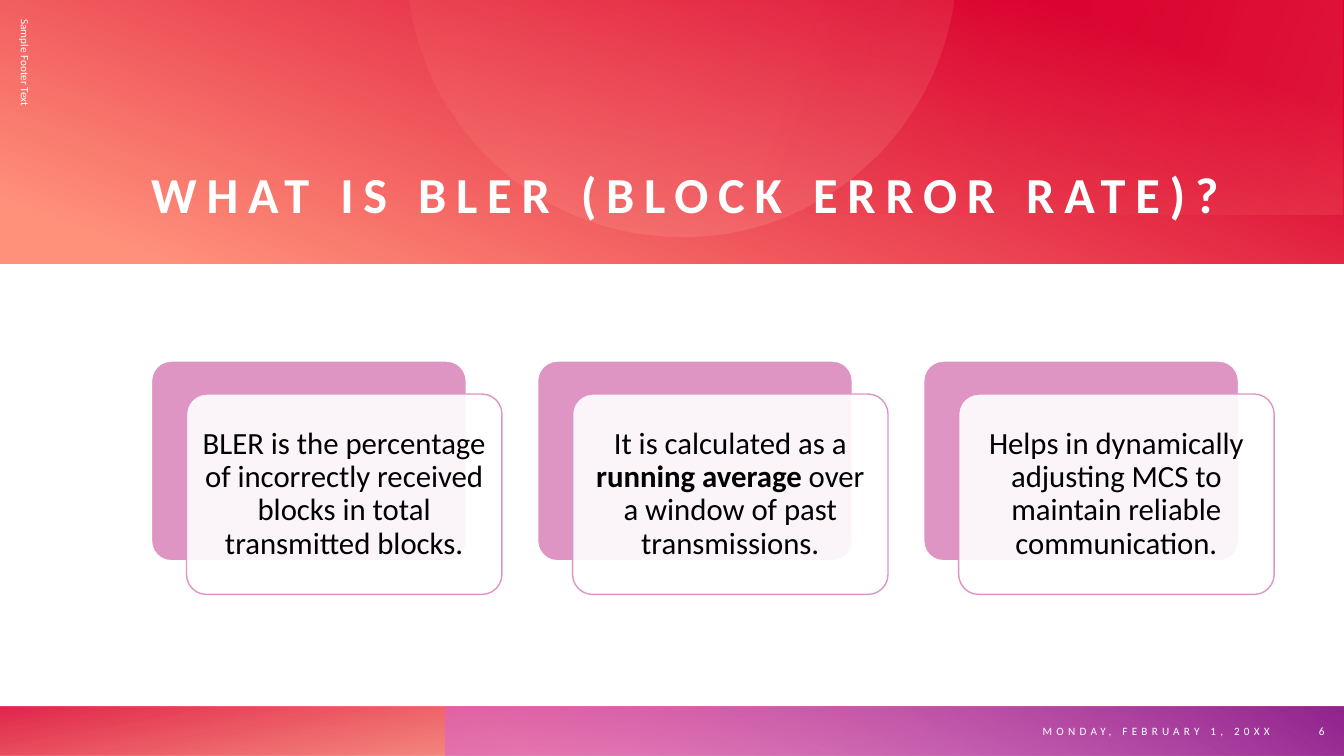
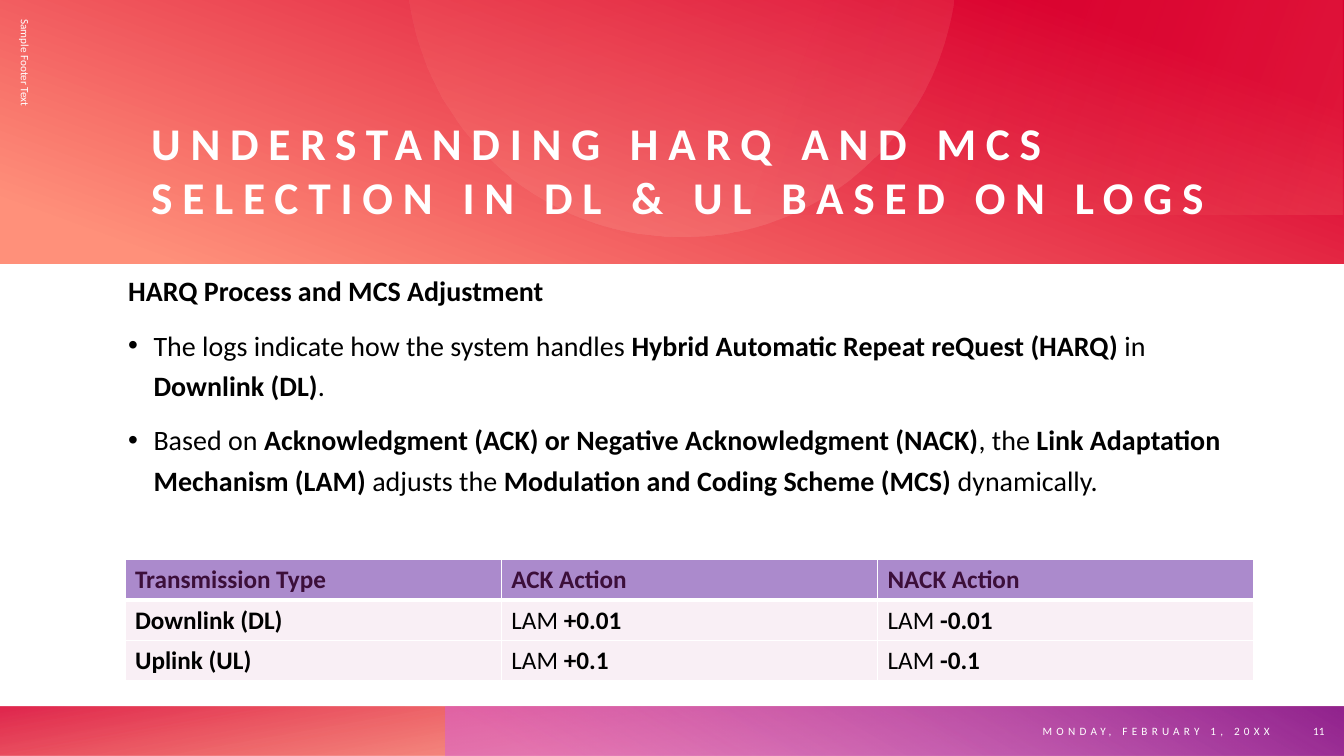
import math

from pptx import Presentation
from pptx import util as u
from pptx.dml.color import RGBColor
from pptx.enum import shapes, text
from pptx.oxml import ns
from lxml import etree

COLORS = {
    "white": "FFFFFF",
    "black": "000000",
    "red": "DA002F",
    "orange": "FE4A00",
    "salmon": "FF907A",
    "peach": "FFBCAF",
    "orchid": "D861D4",
    "purple": "92248E",
    "pink": "DE95C4",
    "lavender": "AB8ACC",
    "plum": "3C0F3A",
    "blush": "F9EFF5",
}
RECTANGLE = shapes.MSO_SHAPE.RECTANGLE
ROUNDED = shapes.MSO_SHAPE.ROUNDED_RECTANGLE
MIDDLE = text.MSO_ANCHOR.MIDDLE
BOTTOM = text.MSO_ANCHOR.BOTTOM
CENTER = text.PP_ALIGN.CENTER
RIGHT = text.PP_ALIGN.RIGHT


def rgb(name):
    return RGBColor.from_string(COLORS[name])


def lengths(*values):
    return [u.Cm(value) for value in values]


def add_child(parent, tag, **attributes):
    return etree.SubElement(parent, ns.qn(tag), attributes)


class Deck:
    font = "Calibri"

    def __init__(self):
        self.presentation = Presentation()
        self.presentation.slide_width = u.Cm(33.87)
        self.presentation.slide_height = u.Cm(19.05)
        self.slide = None

    def start_slide(self, title, title_size, number):
        self.slide = self.presentation.slides.add_slide(self.presentation.slide_layouts[6])
        self.gradient_box((0, 17.8, 33.87, 1.25), 260, (14, "orange", 28), (100, "red", 85))
        self.gradient_box((11.22, 17.8, 22.65, 1.25), 300, (9, "orchid", 55), (99, "purple", 100))
        self.gradient_box((0, 0, 33.87, 6.65), 290, (8, "salmon", 100), (86, "red", 100))
        self.circle_segment(17.18, -0.97, 6.93, 0.02)
        self.gradient_box((11.28, 0, 22.56, 5.41), 200, (0, "salmon", 16), (62, "red", 0))
        self.text_box((3.81, 2.21, 28.45, 3.43), [f"**{title}**"], title_size, "white",
                      anchor=BOTTOM, inset=0, spacing=7)
        self.small_text((21.97, 17.8, 10.29, 1.25), "MONDAY, FEBRUARY 1, 20XX", align=RIGHT, spacing=3)
        self.small_text((32.41, 17.8, 1.22, 1.25), number, align=RIGHT)
        self.small_text((-5.08, 5.31, 11.43, 1.27), "Sample Footer Text").rotation = 90

    def apply_gradient(self, shape, angle, stops):
        shape.shadow.inherit = False
        shape.line.fill.background()
        shape.fill.gradient()
        shape.fill.gradient_angle = 360 - angle
        for stop, (position, color, _) in zip(shape.fill.gradient_stops, stops):
            stop.position = position / 100
            stop.color.rgb = rgb(color)
        gradient = shape._element.spPr.find(ns.qn("a:gradFill"))
        for color, (_, _, opacity) in zip(gradient.iter(ns.qn("a:srgbClr")), stops):
            add_child(color, "a:alpha", val=str(opacity * 1000))

    def gradient_box(self, place, angle, *stops):
        shape = self.slide.shapes.add_shape(RECTANGLE, *lengths(*place))
        self.apply_gradient(shape, angle, stops)

    def circle_segment(self, center_x, center_y, radius, top):
        start = math.asin((top - center_y) / radius)
        steps = 90
        angles = [start + (math.pi - 2 * start) * step / steps for step in range(steps + 1)]
        points = [lengths(center_x + radius * math.cos(angle), center_y + radius * math.sin(angle))
                  for angle in angles]
        builder = self.slide.shapes.build_freeform(*points[0])
        builder.add_line_segments(points[1:], close=True)
        self.apply_gradient(builder.convert_to_shape(), 77, [(0, "salmon", 12), (100, "peach", 20)])

    def add_runs(self, paragraph, marked, size, color, spacing=0):
        for index, part in enumerate(marked.split("**")):
            if not part:
                continue
            run = paragraph.add_run()
            run.text = part
            run.font.name = self.font
            run.font.size = u.Pt(size)
            run.font.bold = index % 2 == 1
            run.font.color.rgb = rgb(color)
            if spacing:
                run._r.get_or_add_rPr().set("spc", str(spacing * 100))

    def fill_frame(self, frame, lines, size, color, anchor, align=None, inset=None, spacing=0):
        frame.word_wrap = True
        frame.vertical_anchor = anchor
        if inset is not None:
            frame.margin_left = frame.margin_right = u.Cm(inset)
            frame.margin_top = frame.margin_bottom = u.Cm(inset)
        for index, line in enumerate(lines):
            paragraph = frame.add_paragraph() if index else frame.paragraphs[0]
            paragraph.alignment = align
            self.add_runs(paragraph, line, size, color, spacing)

    def text_box(self, place, lines, size, color, anchor=text.MSO_ANCHOR.TOP, **style):
        shape = self.slide.shapes.add_textbox(*lengths(*place))
        self.fill_frame(shape.text_frame, lines, size, color, anchor, **style)
        return shape

    def small_text(self, place, line, **style):
        return self.text_box(place, [line], 8, "white", MIDDLE, **style)

    def bullets(self, place, heading, items):
        shape = self.text_box(place, [heading, *items], 20, "black", inset=0)
        for index, paragraph in enumerate(shape.text_frame.paragraphs):
            paragraph.line_spacing = 1.2
            paragraph.space_before = u.Pt(10)
            properties = paragraph._p.get_or_add_pPr()
            properties.set("marL", str(u.Cm(0.64)))
            properties.set("indent", str(u.Cm(-0.64)))
            if index:
                add_child(properties, "a:buFont", typeface="Arial")
                add_child(properties, "a:buChar", char="•")

    def rounded_box(self, left, top, fill, line, width):
        shape = self.slide.shapes.add_shape(ROUNDED, *lengths(left, top, 7.95, 5.05))
        shape.adjustments[0] = 0.1
        shape.shadow.inherit = False
        shape.fill.solid()
        shape.fill.fore_color.rgb = rgb(fill)
        shape.line.color.rgb = rgb(line)
        shape.line.width = u.Pt(width)
        return shape

    def card(self, left, top, line):
        self.rounded_box(left, top, "pink", "white", 1.5)
        front = self.rounded_box(left + 0.89, top + 0.84, "white", "pink", 1)
        color = front._element.spPr.find(ns.qn("a:solidFill"))[0]
        add_child(color, "a:alpha", val="90000")
        self.fill_frame(front.text_frame, [line], 22, "black", MIDDLE, align=CENTER, inset=0.23)
        front.text_frame.paragraphs[0].line_spacing = 0.9

    def cell_borders(self, cell, bottom):
        properties = cell._tc.get_or_add_tcPr()
        for side, width in (("L", 1), ("R", 1), ("T", 1), ("B", bottom)):
            line = add_child(properties, f"a:ln{side}", w=str(u.Pt(width)))
            add_child(add_child(line, "a:solidFill"), "a:srgbClr", val=COLORS["white"])

    def table(self, place, rows):
        frame = self.slide.shapes.add_table(len(rows), len(rows[0]), *lengths(*place))
        for row_index, row in enumerate(rows):
            header = row_index == 0
            for column_index, line in enumerate(row):
                cell = frame.table.cell(row_index, column_index)
                self.cell_borders(cell, 3 if header else 1)
                cell.fill.solid()
                cell.fill.fore_color.rgb = rgb("lavender" if header else "blush")
                cell.vertical_anchor = MIDDLE
                self.add_runs(cell.text_frame.paragraphs[0], line, 18, "plum" if header else "black")


def main():
    deck = Deck()

    deck.start_slide("WHAT IS BLER (BLOCK ERROR RATE)?", 36, "6")
    facts = [
        "BLER is the percentage of incorrectly received blocks in total transmitted blocks.",
        "It is calculated as a **running average** over a window of past transmissions.",
        "Helps in dynamically adjusting MCS to maintain reliable communication.",
    ]
    for index, fact in enumerate(facts):
        deck.card(3.81 + index * 9.73, 9.09, fact)

    deck.start_slide("UNDERSTANDING HARQ AND MCS SELECTION IN DL & UL BASED ON LOGS", 32.4, "11")
    deck.bullets((3.23, 6.73, 28.3, 7.44), "**HARQ Process and MCS Adjustment**", [
        "The logs indicate how the system handles **Hybrid Automatic Repeat reQuest (HARQ)** in "
        "**Downlink (DL)**.",
        "Based on **Acknowledgment (ACK) or Negative Acknowledgment (NACK)**, the "
        "**Link Adaptation Mechanism (LAM)** adjusts the "
        "**Modulation and Coding Scheme (MCS)** dynamically.",
    ])
    deck.table((3.15, 14.1, 28.45, 3.06), [
        ["**Transmission Type**", "**ACK Action**", "**NACK Action**"],
        ["**Downlink (DL)**", "LAM **+0.01**", "LAM **-0.01**"],
        ["**Uplink (UL)**", "LAM **+0.1**", "LAM **-0.1**"],
    ])

    deck.presentation.save("out.pptx")


if __name__ == "__main__":
    main()
